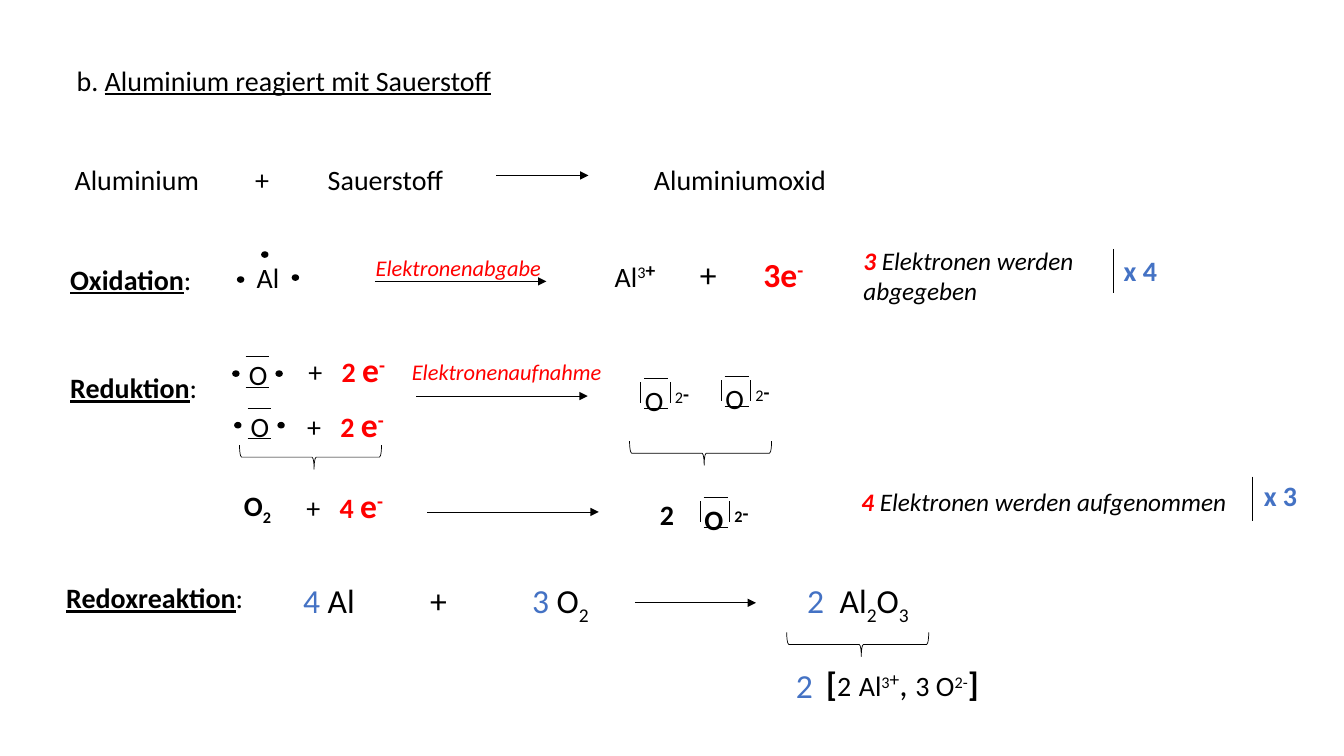
from typing import NamedTuple

from lxml.etree import SubElement
from pptx import Presentation
from pptx.dml.color import RGBColor
from pptx.enum.shapes import MSO_CONNECTOR, MSO_SHAPE
from pptx.enum.text import MSO_AUTO_SIZE as AutoSize
from pptx.oxml.ns import qn
from pptx.util import Cm, Pt

BLACK = RGBColor(0x00, 0x00, 0x00)
RED = RGBColor(0xFF, 0x00, 0x00)
BLUE = RGBColor(0x44, 0x72, 0xC4)
FONT = "Calibri"
SUPER, SUB = 30, -25


class Run(NamedTuple):
    text: str
    size: int = 20
    color: RGBColor = BLACK
    bold: bool = False
    italic: bool = False
    underline: bool = False
    base: int = 0


class Label(NamedTuple):
    x: float
    y: float
    w: float
    h: float
    runs: list[Run]
    tabs: tuple[float, ...] = ()


class Line(NamedTuple):
    x1: float
    y1: float
    x2: float
    y2: float
    arrow: bool = False


class Point(NamedTuple):
    x: float
    y: float


class Ion(NamedTuple):
    x: float
    y: float
    bold: bool = False


def add_label(shapes, label: Label) -> None:
    box = shapes.add_textbox(Cm(label.x), Cm(label.y), Cm(label.w), Cm(label.h))
    tf = box.text_frame
    tf.word_wrap = True
    tf.auto_size = AutoSize.SHAPE_TO_FIT_TEXT
    p = tf.paragraphs[0]
    if label.tabs:
        tab_list = SubElement(p._p.get_or_add_pPr(), qn("a:tabLst"))
        for stop in label.tabs:
            SubElement(tab_list, qn("a:tab"), pos=str(Cm(stop)), algn="l")
    for run in label.runs:
        r = p.add_run()
        r.text = run.text
        r.font.name = FONT
        r.font.size = Pt(run.size)
        r.font.color.rgb = run.color
        r.font.bold = run.bold
        r.font.italic = run.italic
        r.font.underline = run.underline
        if run.base:
            r.font._element.set("baseline", str(run.base * 1000))


def add_line(shapes, line: Line) -> None:
    c = shapes.add_connector(MSO_CONNECTOR.STRAIGHT, Cm(line.x1), Cm(line.y1),
                             Cm(line.x2), Cm(line.y2))
    c.line.color.rgb = BLACK
    c.line.width = Pt(0.5)
    if line.arrow:
        SubElement(c.line._get_or_add_ln(), qn("a:tailEnd"), type="triangle")
    SubElement(c._element.spPr, qn("a:effectLst"))


def add_dot(shapes, at: Point) -> None:
    sp = shapes.add_shape(MSO_SHAPE.OVAL, Cm(at.x), Cm(at.y), Cm(0.15), Cm(0.13))
    sp.shadow.inherit = False
    sp.fill.solid()
    sp.fill.fore_color.rgb = BLACK
    sp.line.color.rgb = BLACK
    sp.line.width = Pt(1)


def add_brace(shapes, at: Point) -> None:
    sp = shapes.add_shape(MSO_SHAPE.RIGHT_BRACE, Cm(at.x), Cm(at.y), Cm(0.61), Cm(3.58))
    sp.rotation = 90
    sp.adjustments[0], sp.adjustments[1] = 0.083, 0.475
    sp.shadow.inherit = False
    sp.fill.background()
    sp.line.color.rgb = BLACK
    sp.line.width = Pt(0.5)


def add_oxygen_atom(shapes, at: Point) -> None:
    atom = shapes.add_group_shape().shapes
    add_label(atom, Label(at.x, at.y, 1.68, 1.12, [Run("O")]))
    for dy in (0.1, 0.86):
        add_line(atom, Line(at.x + 0.17, at.y + dy, at.x + 0.76, at.y + dy))
    for dx in (-0.15, 0.94):
        add_dot(atom, Point(at.x + dx, at.y + 0.46))


def add_oxide_ion(shapes, ion: Ion) -> None:
    x, y, bold = ion
    group = shapes.add_group_shape().shapes
    runs = [Run("O\t", bold=bold), Run("2", bold=bold, base=SUPER),
            Run("-", 20 if not bold else 24, bold=True, base=SUPER)]
    runs[2] = runs[2]._replace(size=24)
    add_label(group, Label(x, y, 1.78, 1.12, runs, (0.76,)))
    for dy in (0.13, 0.89):
        add_line(group, Line(x + 0.23, y + dy, x + 0.84, y + dy))
    for dx in (0.15, 0.89):
        add_line(group, Line(x + dx, y + 0.23, x + dx, y + 0.75))


def heading(x: float, y: float, w: float, text: str) -> Label:
    return Label(x, y, w, 1.12, [Run(text, bold=True, underline=True), Run(":")])


def electrons(x: float, y: float, count: str) -> Label:
    return Label(x, y, 2.57, 1.27, [
        Run("+\t"), Run(count + " ", color=RED, bold=True),
        Run("e", 24, RED, True), Run("-", 24, RED, True, base=SUPER)], (0.84,))


def note(x: float, y: float, w: float, h: float, count: str, text: str) -> Label:
    return Label(x, y, w, h, [Run(count, 18, RED, True, True),
                              Run(text, 18, italic=True)])


LABELS = [
    # Title and word equation
    Label(1.68, 1.47, 13.41, 1.12,
          [Run("b. "), Run("Aluminium reagiert mit Sauerstoff", underline=True)]),
    Label(1.63, 3.96, 20.47, 1.12,
          [Run("Aluminium\t+\tSauerstoff\tAluminiumoxid")], (4.55, 6.38, 14.6)),
    # Oxidation
    heading(1.52, 6.48, 4.19, "Oxidation"),
    Label(6.22, 6.45, 1.68, 1.12, [Run("Al")]),
    Label(9.22, 6.27, 4.98, 0.94, [Run("Elektronenabgabe", 16, RED, italic=True)]),
    Label(15.24, 6.27, 6.22, 1.27, [
        Run("Al"), Run("3", base=SUPER), Run("+", 24, bold=True, base=SUPER),
        Run("\t+\t", 24), Run("3e", 24, RED, True),
        Run("-", 24, RED, True, base=SUPER)], (2.15, 3.75)),
    note(21.51, 6.05, 6.93, 1.8, "3", " Elektronen werden abgegeben"),
    Label(28.07, 6.27, 1.93, 1.12, [Run("x 4", color=BLUE, bold=True)]),
    # Reduktion
    heading(1.52, 9.22, 4.19, "Reduktion"),
    electrons(7.52, 8.66, "2"),
    electrons(7.49, 10.06, "2"),
    Label(10.13, 8.89, 5.33, 0.94, [Run("Elektronenaufnahme", 16, RED, italic=True)]),
    Label(5.9, 12.19, 1.57, 1.12, [Run("O", bold=True), Run("2", bold=True, base=SUB)]),
    electrons(7.47, 12.09, "4"),
    Label(16.38, 12.4, 1.02, 1.12, [Run("2", bold=True)]),
    note(21.46, 12.12, 9.86, 1.02, "4", " Elektronen werden aufgenommen"),
    Label(31.6, 11.94, 1.93, 1.12, [Run("x 3", color=BLUE, bold=True)]),
    # Redoxreaktion
    heading(1.42, 14.5, 5.23, "Redoxreaktion"),
    Label(7.39, 14.5, 18.85, 1.27, [
        Run("4", 24, BLUE), Run(" Al\t+\t", 24), Run("3", 24, BLUE), Run(" O", 24),
        Run("2", 24, base=SUB), Run("\t", 24), Run("2", 24, BLUE), Run("\tAl", 24),
        Run("2", 24, base=SUB), Run("O", 24), Run("3", 24, base=SUB)],
        (3.2, 5.77, 12.7, 13.52)),
    Label(19.81, 16.64, 0.84, 1.27, [Run("2", 24, BLUE)]),
    Label(20.57, 16.59, 5.64, 1.27, [
        Run("[", 24, bold=True), Run("2"), Run(" ", 24, bold=True), Run("Al"),
        Run("3", base=SUPER), Run("+", 24, base=SUPER), Run(", ", 24), Run("3 O"),
        Run("2-", base=SUPER), Run("]", 24, bold=True)]),
]
LINES = [
    # Reaction arrows
    Line(12.5, 4.42, 14.83, 4.42, True),
    Line(9.45, 7.09, 13.77, 7.09, True),
    Line(10.49, 9.98, 14.81, 9.98, True),
    Line(10.77, 12.9, 15.09, 12.9, True),
    Line(16, 15.19, 19.05, 15.19, True),
    # Multiplier bars
    Line(28.07, 6.27, 28.07, 7.39),
    Line(31.57, 12.01, 31.57, 13.13),
]
ALUMINIUM_DOTS = [Point(5.99, 6.98), Point(6.6, 6.35), Point(7.37, 6.93)]
OXYGEN_ATOMS = [Point(6.02, 8.89), Point(6.07, 10.19)]
OXIDE_IONS = [Ion(16, 9.4), Ion(18.03, 9.35), Ion(17.5, 12.4, True)]
BRACES = [Point(7.52, 9.73), Point(17.35, 9.63), Point(21.31, 14.45)]


def main() -> None:
    prs = Presentation()
    prs.slide_width, prs.slide_height = Cm(33.87), Cm(19.05)
    shapes = prs.slides.add_slide(prs.slide_layouts[6]).shapes
    for draw, items in ((add_label, LABELS), (add_line, LINES),
                        (add_dot, ALUMINIUM_DOTS), (add_oxygen_atom, OXYGEN_ATOMS),
                        (add_oxide_ion, OXIDE_IONS), (add_brace, BRACES)):
        for item in items:
            draw(shapes, item)
    prs.save("out.pptx")


if __name__ == "__main__":
    main()
